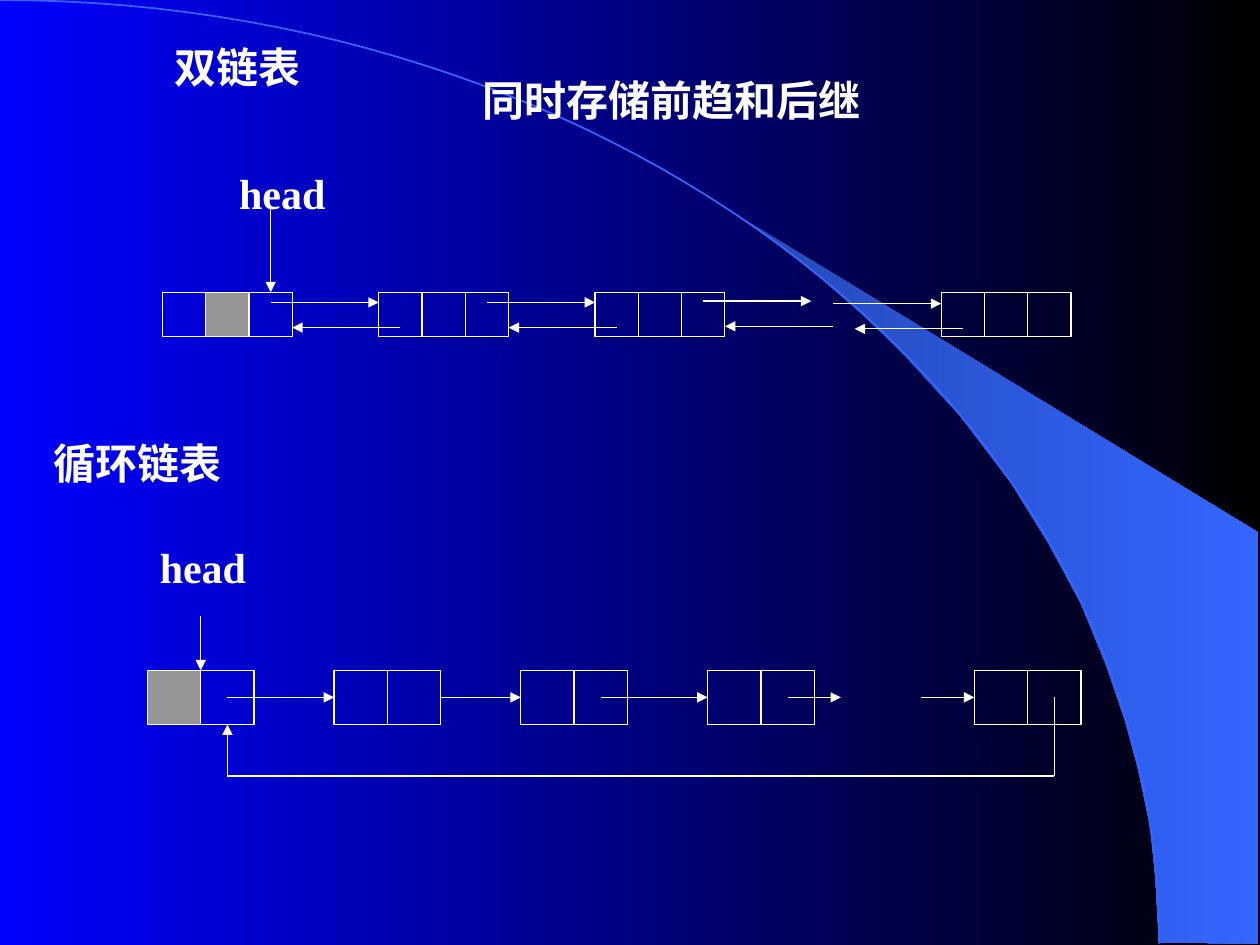
"""Build a slide on doubly linked and circular linked lists."""
from dataclasses import dataclass

from lxml.etree import SubElement
from pptx import Presentation
from pptx.dml.color import RGBColor
from pptx.enum.shapes import MSO_CONNECTOR, MSO_SHAPE
from pptx.enum.text import PP_ALIGN
from pptx.oxml.ns import qn
from pptx.util import Inches, Pt


@dataclass(frozen=True)
class Theme:
    white: str = "FFFFFF"
    grey: str = "969696"
    accent: str = "3366FF"
    background: tuple = ("0000FF", "000000")
    wedge: tuple = ("2449B6", "3366FF")
    serif: str = "Times New Roman"
    sans: str = "Arial"
    size: float = 24
    thin: float = 0.75
    arc: float = 1


@dataclass(frozen=True)
class Chain:
    left: float
    right: float
    top: float
    height: float
    units: float
    cells: int
    nodes: tuple
    grey_cell: int

    def x(self, unit: float) -> float:
        return self.left + unit * (self.right - self.left) / self.units


@dataclass(frozen=True)
class Link:
    start: float
    end: float
    y: float
    source: tuple = None
    target: tuple = None


THEME = Theme()
DOUBLE = Chain(1.29, 8.5, 2.32, 0.35, 21, 3, (0, 5, 10, 18), 1)
CIRCULAR = Chain(1.17, 8.58, 5.32, 0.43, 17.5, 2, (0, 3.5, 7, 10.5, 15.5), 0)

FORWARD = ((2.5, 2.4), (7.5, 2.4), (12.5, 2.39), (15.5, 2.41))
DOUBLE_LINKS = [
    link
    for start, y in FORWARD
    for link in (Link(start, start + 2.5, y), Link(start + 3, start + 0.5, y + 0.2))
]
MIDDLE = CIRCULAR.top + CIRCULAR.height / 2
CIRCULAR_LINKS = [
    Link(1.5, 3.5, MIDDLE, target=(1, 0)),
    Link(5.5, 7, MIDDLE, source=(1, 1), target=(2, 0)),
    Link(8.5, 10.5, MIDDLE, target=(3, 0)),
    Link(12, 13, MIDDLE),
    Link(14.5, 15.5, MIDDLE, target=(4, 0)),
]
RETURN_Y = 6.16

WEDGE = [
    (9.2, 7.48), (9.99, 7.49), (9.99, 4.23), (5.89, 1.73), (6.24, 1.99), (6.53, 2.22),
    (6.85, 2.5), (7.16, 2.8), (7.62, 3.3), (8.03, 3.84), (8.32, 4.31), (8.58, 4.79),
    (8.78, 5.28), (8.93, 5.72), (9.03, 6.09), (9.13, 6.56), (9.17, 6.96),
]
ARC = ((0, 0), (5.08, 0), (9.2, 3.35), (9.2, 7.49))


def rgb(value: str) -> RGBColor:
    return RGBColor.from_string(value)


def set_gradient(fill, colors: tuple) -> None:
    fill.gradient()
    fill.gradient_angle = 0
    for stop, color in zip(fill.gradient_stops, colors):
        stop.color.rgb = rgb(color)


def set_line(line, color: str, width: float) -> None:
    line.color.rgb = rgb(color)
    line.width = Pt(width)


def bezier(controls: tuple, steps: int = 60) -> list:
    points = []
    for i in range(steps + 1):
        t = i / steps
        weights = ((1 - t) ** 3, 3 * t * (1 - t) ** 2, 3 * t * t * (1 - t), t ** 3)
        points.append(tuple(sum(w * c[axis] for w, c in zip(weights, controls))
                            for axis in (0, 1)))
    return points


def add_outline(slide, points: list, close: bool):
    scaled = [(Inches(x), Inches(y)) for x, y in points]
    builder = slide.shapes.build_freeform(*scaled[0], scale=1.0)
    builder.add_line_segments(scaled[1:], close=close)
    sp = builder.convert_to_shape()
    sp.shadow.inherit = False
    return sp


def add_backdrop(slide) -> None:
    set_gradient(slide.background.fill, THEME.background)
    wedge = add_outline(slide, WEDGE, True)
    set_gradient(wedge.fill, THEME.wedge)
    wedge.line.fill.background()
    arc = add_outline(slide, bezier(ARC), False)
    arc.fill.background()
    set_line(arc.line, THEME.accent, THEME.arc)


def add_text(slide, text: str, left: float, top: float, width: float, height: float, *,
             font: str = THEME.serif, align: PP_ALIGN = PP_ALIGN.LEFT) -> None:
    tf = slide.shapes.add_textbox(
        Inches(left), Inches(top), Inches(width), Inches(height)).text_frame
    tf.word_wrap = True
    p = tf.paragraphs[0]
    p.alignment = align
    r = p.add_run()
    r.text = text
    r.font.name = font
    r.font.size = Pt(THEME.size)
    r.font.bold = True
    r.font.color.rgb = rgb(THEME.white)


def add_cell(slide, chain: Chain, unit: float, grey: bool):
    left, right = chain.x(unit), chain.x(unit + 1)
    sp = slide.shapes.add_shape(
        MSO_SHAPE.RECTANGLE, Inches(left), Inches(chain.top),
        Inches(right - left), Inches(chain.height))
    sp.shadow.inherit = False
    if grey:
        sp.fill.solid()
        sp.fill.fore_color.rgb = rgb(THEME.grey)
    else:
        sp.fill.background()
    set_line(sp.line, THEME.white, THEME.thin)
    return sp


def add_chain(slide, chain: Chain) -> list:
    return [
        [add_cell(slide, chain, unit + i, (node, i) == (0, chain.grey_cell))
         for i in range(chain.cells)]
        for node, unit in enumerate(chain.nodes)
    ]


def add_line(slide, x1: float, y1: float, x2: float, y2: float, arrow: bool = True):
    cxn = slide.shapes.add_connector(
        MSO_CONNECTOR.STRAIGHT, Inches(x1), Inches(y1), Inches(x2), Inches(y2))
    set_line(cxn.line, THEME.white, THEME.thin)
    if arrow:
        SubElement(cxn.line._get_or_add_ln(), qn("a:tailEnd"), type="triangle")
    SubElement(cxn._element.spPr, qn("a:effectLst"))
    return cxn


def add_links(slide, chain: Chain, links: list, nodes: list) -> None:
    for link in links:
        cxn = add_line(slide, chain.x(link.start), link.y, chain.x(link.end), link.y)
        if link.source:
            node, cell = link.source
            cxn.begin_connect(nodes[node][cell], 3)
        if link.target:
            node, cell = link.target
            cxn.end_connect(nodes[node][cell], 1)


def main() -> None:
    prs = Presentation()
    prs.slide_width, prs.slide_height = Inches(10), Inches(7.5)
    slide = prs.slides.add_slide(prs.slide_layouts[6])
    add_backdrop(slide)

    add_text(slide, "双链表", 1.29, 0.28, 1.92, 0.5)
    add_text(slide, "同时存储前趋和后继", 3.35, 0.54, 3.96, 0.5,
             font=THEME.sans, align=PP_ALIGN.CENTER)
    nodes = add_chain(slide, DOUBLE)
    add_links(slide, DOUBLE, DOUBLE_LINKS, nodes)
    add_text(slide, "head", 1.8, 1.28, 1.03, 0.52, align=PP_ALIGN.JUSTIFY)
    x = DOUBLE.x(2.5)
    add_line(slide, x, 1.63, x, DOUBLE.top).end_connect(nodes[0][2], 0)

    add_text(slide, "循环链表", 0.33, 3.42, 2.25, 0.5)
    nodes = add_chain(slide, CIRCULAR)
    add_links(slide, CIRCULAR, CIRCULAR_LINKS, nodes)
    add_text(slide, "head", 1.17, 4.25, 1.06, 0.64, align=PP_ALIGN.JUSTIFY)
    x = CIRCULAR.x(1)
    add_line(slide, x, 4.89, x, CIRCULAR.top)
    first, last = CIRCULAR.x(1.5), CIRCULAR.x(17)
    add_line(slide, last, MIDDLE, last, RETURN_Y, arrow=False)
    add_line(slide, first, RETURN_Y, last, RETURN_Y, arrow=False)
    back = add_line(slide, first, RETURN_Y, first, CIRCULAR.top + CIRCULAR.height)
    back.end_connect(nodes[0][1], 2)

    prs.save("out.pptx")


if __name__ == "__main__":
    main()
